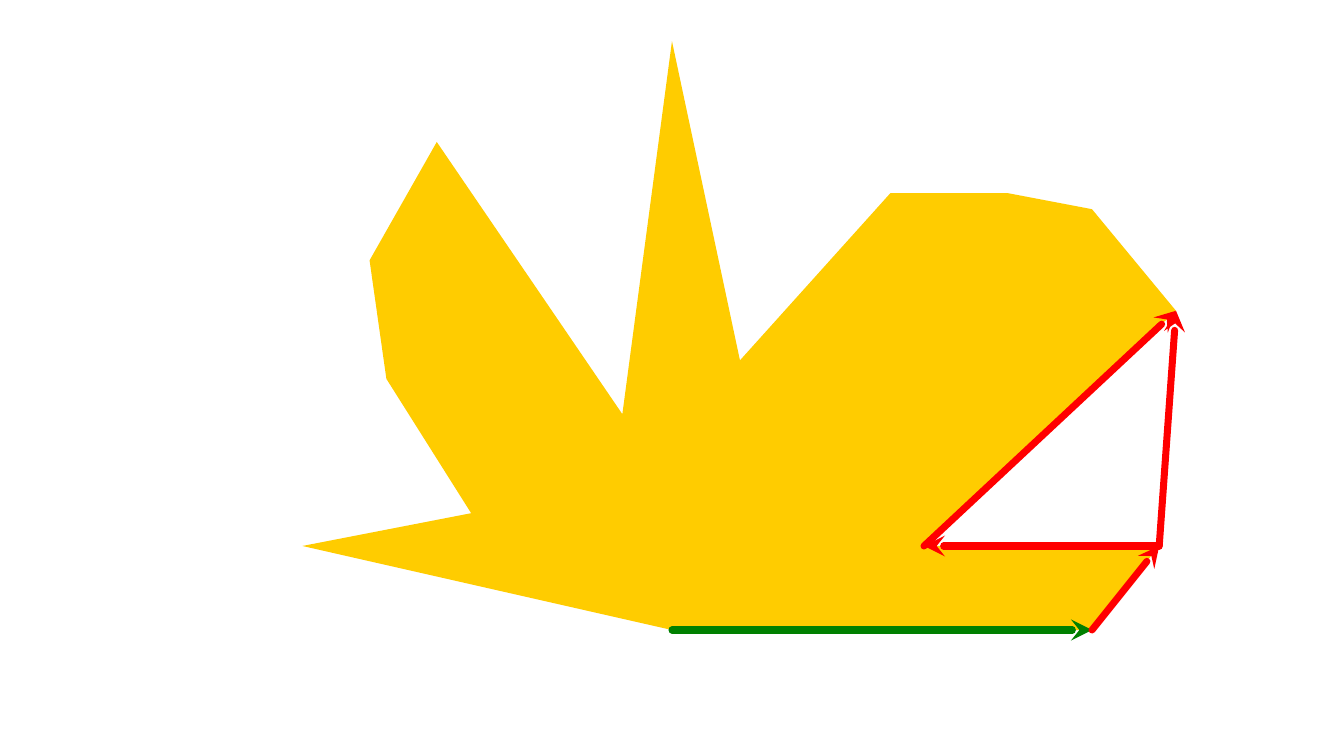
from pptx import Presentation
from pptx.dml.color import RGBColor
from pptx.enum.shapes import MSO_CONNECTOR as CONN
from pptx.oxml.ns import qn
from pptx.util import Pt
from lxml.etree import SubElement

COLORS = {"polygon": "FFCC00", "base": "008000", "edge": "FF0000"}

# Named corners, in points
BASE_START = (576, 540)
BASE_END = (936, 540)
LOWER_TIP = (993.6, 468)
NOTCH = (792, 468)
UPPER_TIP = (1008, 266.4)

OUTLINE = [
    (259.2, 468), BASE_START, BASE_END, LOWER_TIP, NOTCH, UPPER_TIP,
    (936, 179.3), (864, 165.6), (763.2, 165.6), (634.3, 308.9),
    (576, 35.3), (533.5, 355), (374.4, 121.7), (316.8, 223.2),
    (331.2, 324.7), (403.9, 439.9),
]
RED_EDGES = [
    (BASE_END, LOWER_TIP), (LOWER_TIP, NOTCH),
    (NOTCH, UPPER_TIP), (LOWER_TIP, UPPER_TIP),
]


def to_emu(point):
    return tuple(Pt(v) for v in point)


def add_polygon(s, points, color):
    first, *rest = [to_emu(point) for point in points]
    builder = s.shapes.build_freeform(*first)
    builder.add_line_segments(rest, close=True)
    sp = builder.convert_to_shape()
    sp.shadow.inherit = False
    sp.fill.solid()
    sp.fill.fore_color.rgb = RGBColor.from_string(COLORS[color])
    sp.line.fill.background()


def add_arrow(s, start, end, color):
    sp = s.shapes.add_connector(CONN.STRAIGHT, *to_emu(start), *to_emu(end))
    sp.line.width = Pt(6)
    sp.line.color.rgb = RGBColor.from_string(COLORS[color])
    # Round ends and a stealth arrowhead
    ln = sp.line._get_or_add_ln()
    ln.set("cap", "rnd")
    SubElement(ln, qn("a:round"))
    SubElement(ln, qn("a:tailEnd"), type="stealth")
    # No shadow
    SubElement(sp._element.spPr, qn("a:effectLst"))


def main():
    prs = Presentation()
    prs.slide_width, prs.slide_height = Pt(1152), Pt(648)
    s = prs.slides.add_slide(prs.slide_layouts[6])

    # Polygon
    add_polygon(s, OUTLINE, "polygon")

    # Base vector, then the edges compared with it
    add_arrow(s, BASE_START, BASE_END, "base")
    for start, end in RED_EDGES:
        add_arrow(s, start, end, "edge")

    prs.save("out.pptx")


if __name__ == "__main__":
    main()
